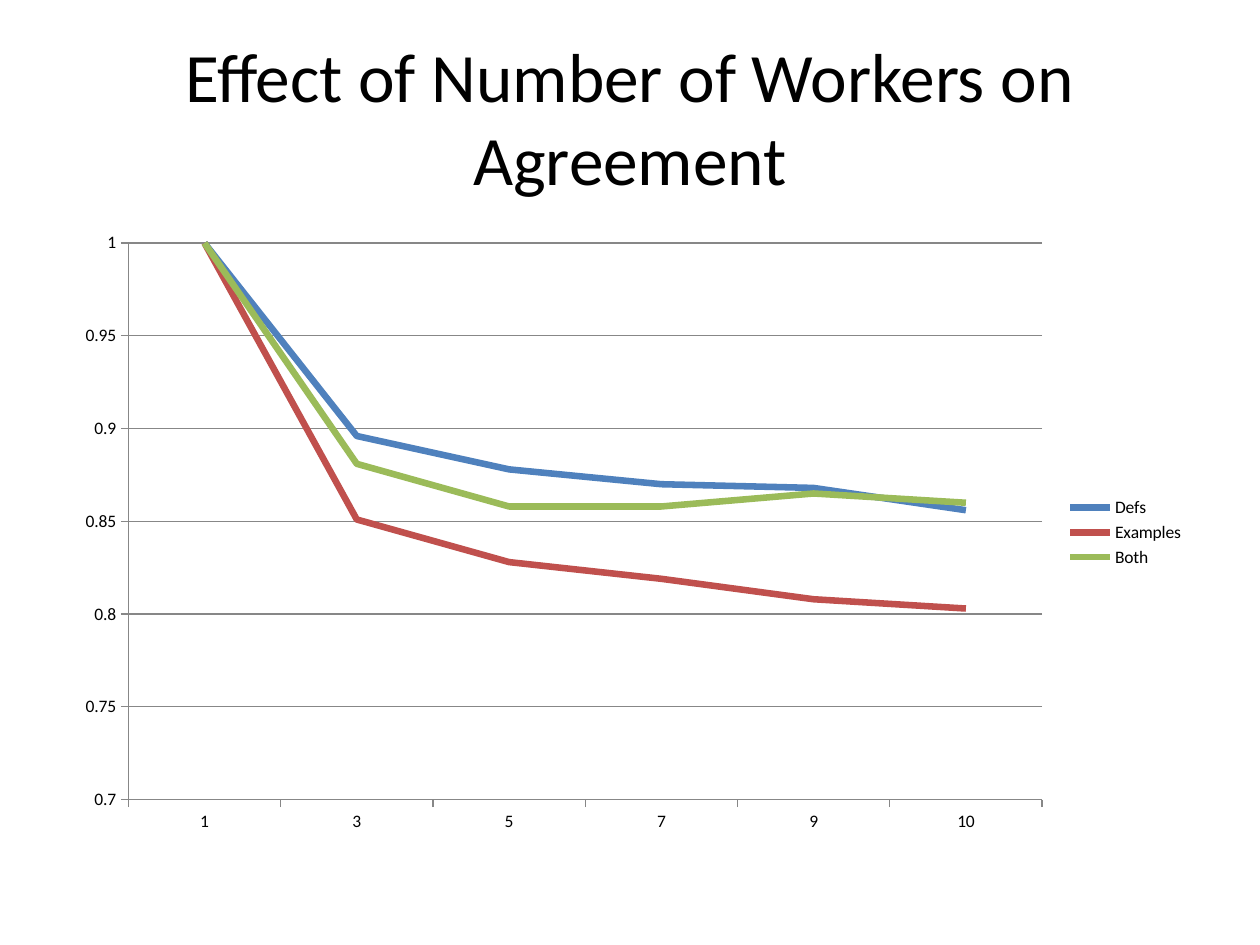
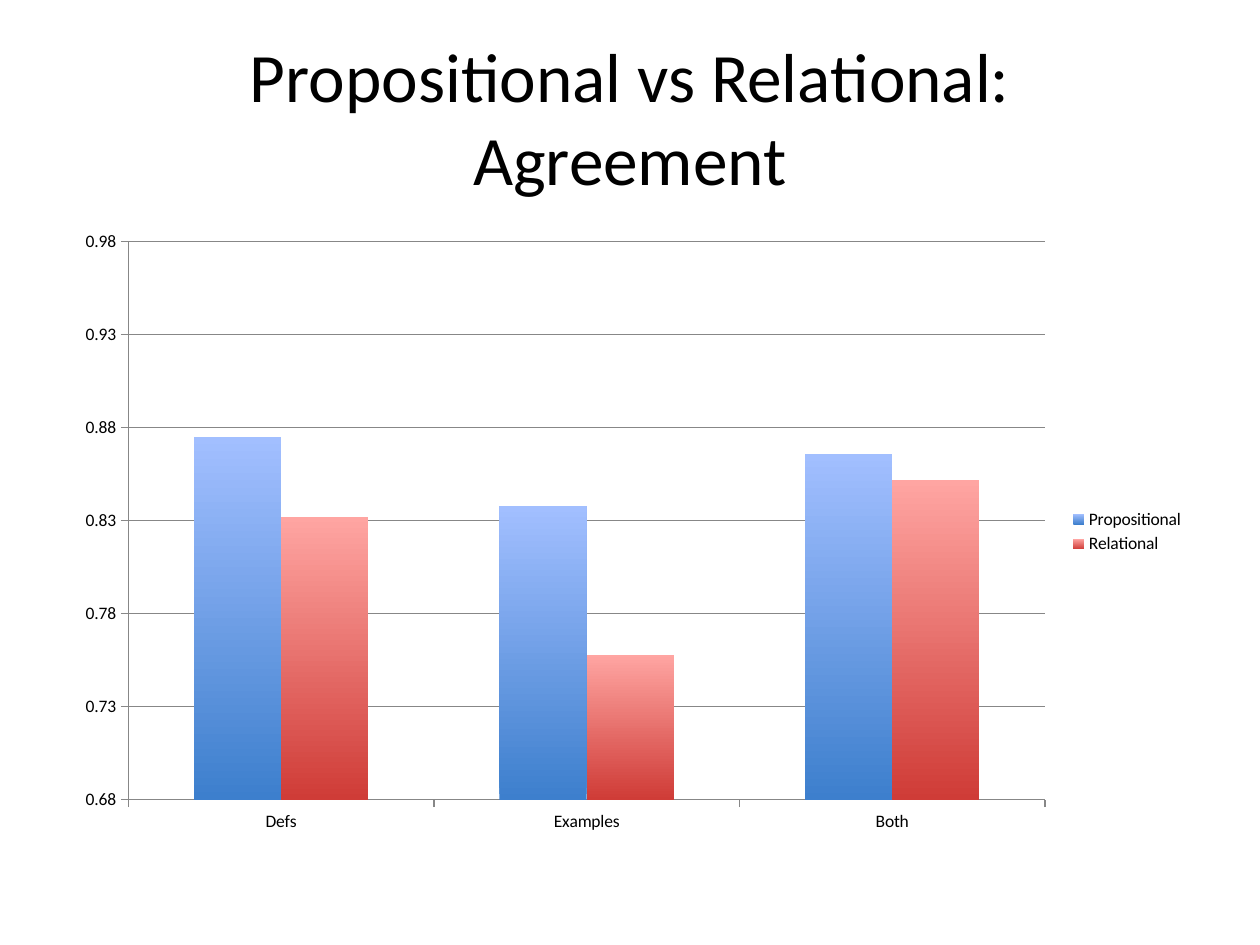
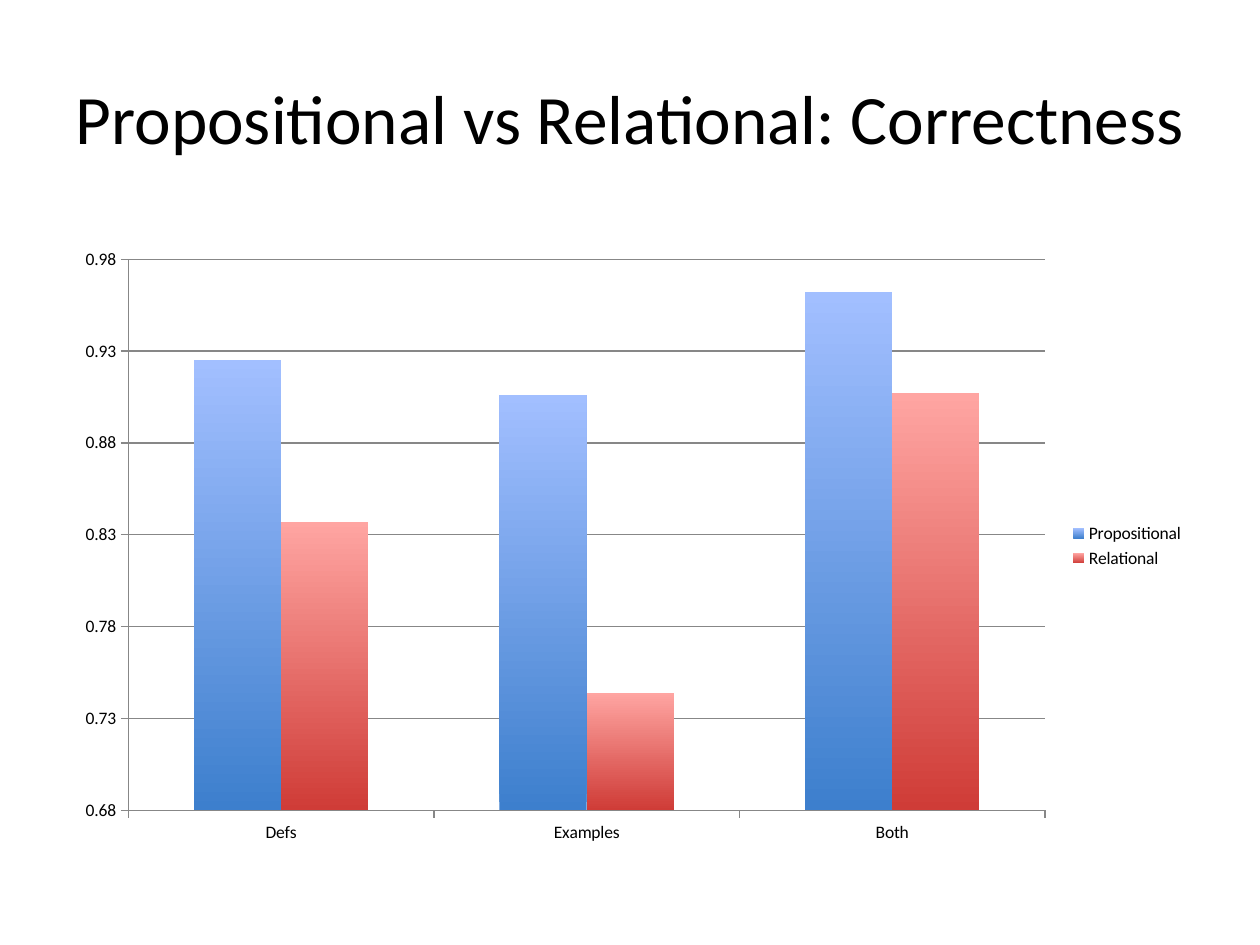
from dataclasses import dataclass

from pptx import Presentation
from pptx.chart.data import CategoryChartData
from pptx.dml.color import RGBColor
from pptx.enum.chart import XL_CHART_TYPE, XL_LEGEND_POSITION, XL_MARKER_STYLE, XL_TICK_MARK
from pptx.enum.text import MSO_ANCHOR, MSO_AUTO_SIZE, PP_ALIGN
from pptx.util import Cm, Pt

LINE = XL_CHART_TYPE.LINE
COLUMNS = XL_CHART_TYPE.COLUMN_CLUSTERED
LEGEND_RIGHT = XL_LEGEND_POSITION.RIGHT
NO_MARKER = XL_MARKER_STYLE.NONE
TICK_OUTSIDE = XL_TICK_MARK.OUTSIDE
MIDDLE = MSO_ANCHOR.MIDDLE
NO_AUTOFIT = MSO_AUTO_SIZE.NONE
CENTER = PP_ALIGN.CENTER
TITLE_ONLY = 5


@dataclass(frozen=True)
class Theme:
    font: str = "Calibri"
    title_size: float = 39.6
    chart_size: float = 10
    text: str = "000000"
    grid: str = "878787"
    grid_width: float = 0.75
    series_width: float = 3.75
    series: tuple = ("4F81BD", "C0504D", "9BBB59")
    # (bottom, top) of each column
    gradients: tuple = (("3D7FCD", "A2BFFF"), ("CF3C37", "FFA5A2"))


THEME = Theme()
MARGIN = 1.27
CONTENT_WIDTH = 22.86
TITLE_BOX = (MARGIN, 0.76, CONTENT_WIDTH, 3.18)
CONDITIONS = ("Defs", "Examples", "Both")


def rgb(code):
    return RGBColor.from_string(code)


def style_font(font, size):
    font.name = THEME.font
    font.size = Pt(size)
    font.color.rgb = rgb(THEME.text)


def style_line(line, color, width):
    line.color.rgb = rgb(color)
    line.width = Pt(width)


def place_title(title, text, box):
    title.left, title.top, title.width, title.height = map(Cm, box)
    frame = title.text_frame
    frame.margin_left = frame.margin_right = 0
    frame.word_wrap = True
    frame.auto_size = NO_AUTOFIT
    frame.vertical_anchor = MIDDLE
    frame.text = text
    paragraph = frame.paragraphs[0]
    paragraph.alignment = CENTER
    for run in paragraph.runs:
        style_font(run.font, THEME.title_size)


def style_axes(chart, low, high):
    values = chart.value_axis
    values.minimum_scale, values.maximum_scale = low, high
    values.major_unit = 0.05
    values.has_major_gridlines = True
    style_line(values.major_gridlines.format.line, THEME.grid, THEME.grid_width)
    for axis in (values, chart.category_axis):
        axis.major_tick_mark = TICK_OUTSIDE
        style_line(axis.format.line, THEME.grid, THEME.grid_width)


def add_agreement_chart(slide, kind, categories, scores, scale, box):
    """Add a chart with a legend on the right; scores maps series names to values."""
    data = CategoryChartData(number_format="General")
    data.categories = categories
    for name, values in scores.items():
        data.add_series(name, values)
    chart = slide.shapes.add_chart(kind, *map(Cm, box), data).chart
    style_font(chart.font, THEME.chart_size)
    chart.has_title = False
    chart.has_legend = True
    chart.legend.position = LEGEND_RIGHT
    chart.legend.include_in_layout = False
    style_axes(chart, *scale)
    plot = chart.plots[0]
    plot.vary_by_categories = False
    return plot


def new_slide(deck, title):
    slide = deck.slides.add_slide(deck.slide_layouts[TITLE_ONLY])
    place_title(slide.shapes.title, title, TITLE_BOX)
    return slide


def line_slide(deck, title, categories, scores, top, height):
    box = (MARGIN, top, CONTENT_WIDTH, height)
    plot = add_agreement_chart(new_slide(deck, title), LINE, categories, scores, (0.7, 1), box)
    for series, color in zip(plot.series, THEME.series):
        series.smooth = False
        series.marker.style = NO_MARKER
        style_line(series.format.line, color, THEME.series_width)


def column_slide(deck, title, scores, top, height):
    box = (MARGIN, top, CONTENT_WIDTH, height)
    plot = add_agreement_chart(new_slide(deck, title), COLUMNS, CONDITIONS, scores, (0.68, 0.98), box)
    plot.gap_width = 150
    plot.overlap = 0
    for series, colors in zip(plot.series, THEME.gradients):
        series.invert_if_negative = False
        fill = series.format.fill
        fill.gradient()
        fill.gradient_angle = 90
        for stop, color in zip(fill.gradient_stops, colors):
            stop.color.rgb = rgb(color)


def main():
    deck = Presentation()
    deck.slide_width, deck.slide_height = Cm(25.4), Cm(19.05)
    line_slide(
        deck,
        "Effect of Number of Workers on Agreement",
        (1, 3, 5, 7, 9, 10),
        dict(zip(CONDITIONS, (
            (1, 0.896, 0.878, 0.87, 0.868, 0.856),
            (1, 0.851, 0.828, 0.819, 0.808, 0.803),
            (1, 0.881, 0.858, 0.858, 0.865, 0.86),
        ))),
        top=4.45, height=12.57,
    )
    column_slide(
        deck,
        "Propositional vs Relational:\vAgreement",
        {"Propositional": (0.875, 0.838, 0.866), "Relational": (0.832, 0.758, 0.852)},
        top=4.42, height=12.6,
    )
    column_slide(
        deck,
        "Propositional vs Relational: Correctness",
        {"Propositional": (0.925, 0.906, 0.962), "Relational": (0.837, 0.744, 0.907)},
        top=4.78, height=12.45,
    )
    deck.save("out.pptx")


if __name__ == "__main__":
    main()
